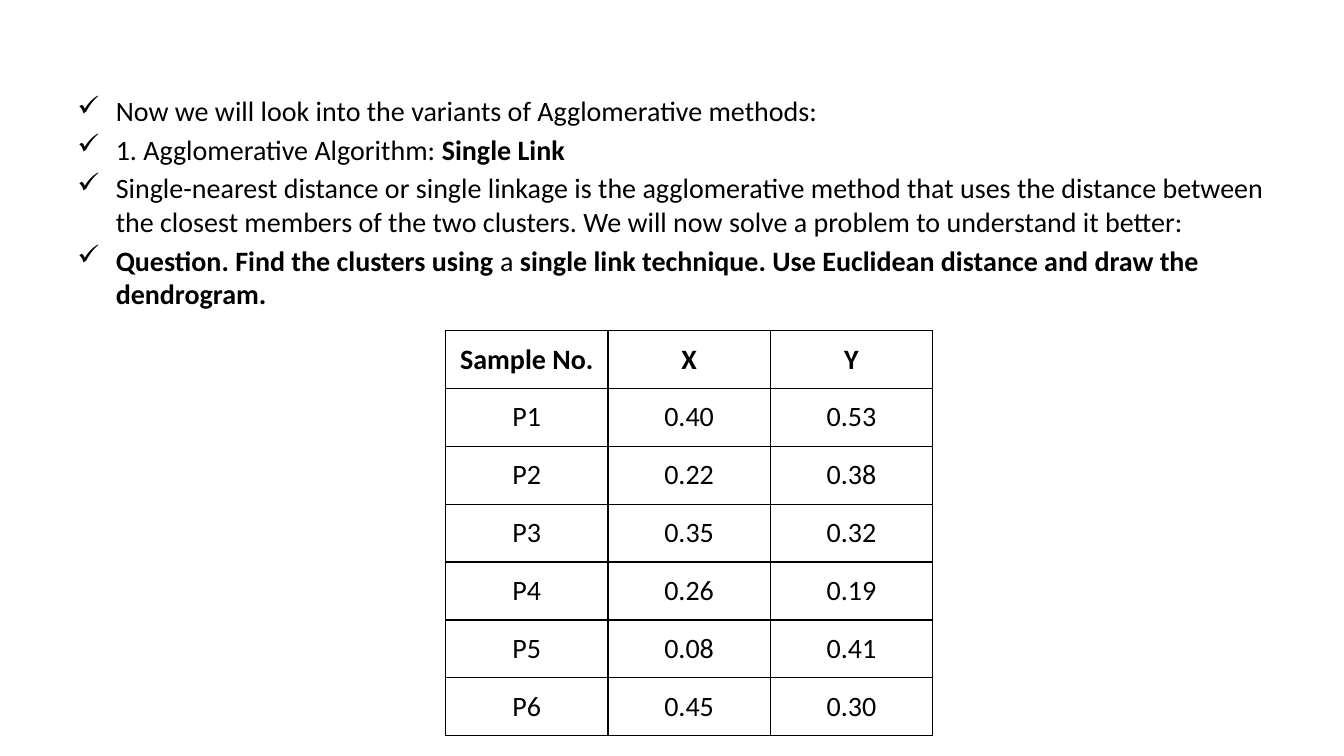
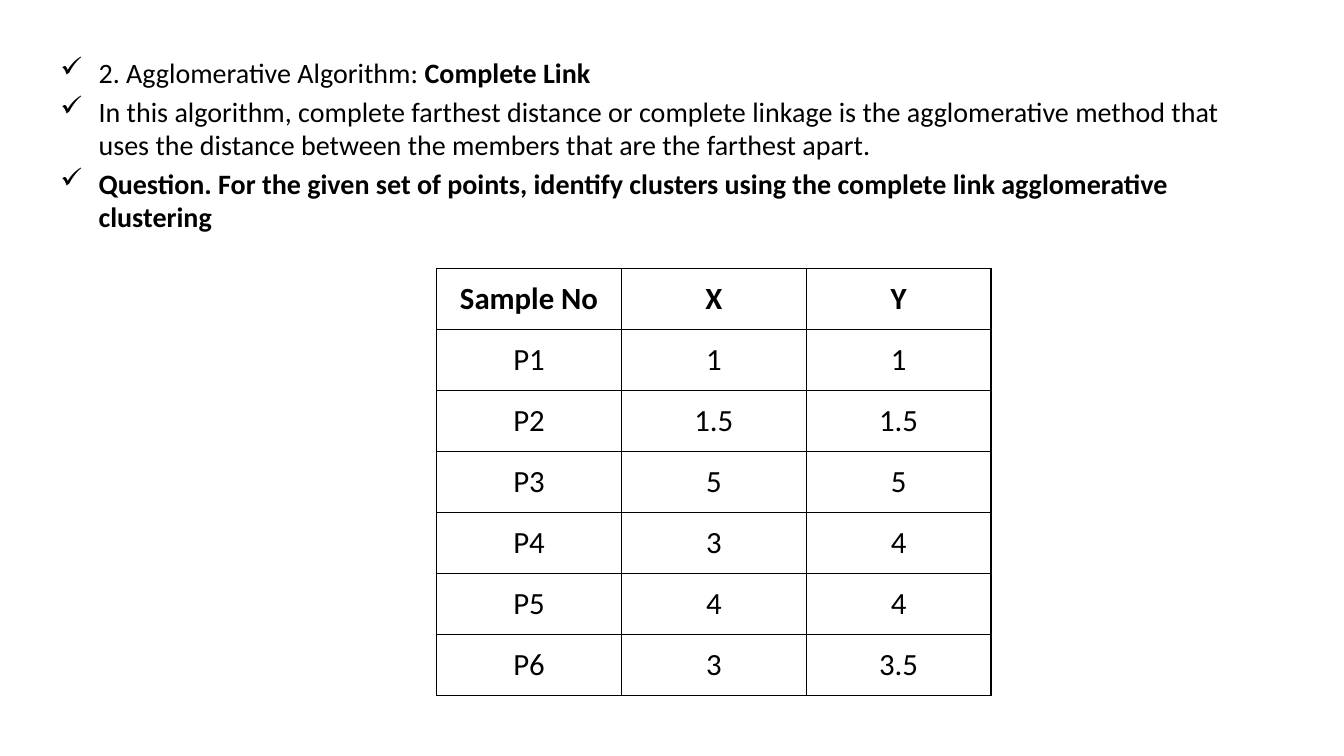
import dataclasses

import lxml.etree
import pptx
import pptx.dml.color
import pptx.enum.text
import pptx.oxml.ns
import pptx.util

Inches = pptx.util.Inches
Pt = pptx.util.Pt
qn = pptx.oxml.ns.qn


@dataclasses.dataclass(frozen=True)
class Theme:
    font: str = "Calibri"
    ink: str = "000000"
    paper: str = "FFFFFF"
    body_size: float = 20
    bullet: str = "✓"
    indent: float = 0.38
    gap: float = 3.6
    rule: float = 1
    cell_side: float = 0.08
    cell_end: float = 0.11


THEME = Theme()

SINGLE_LINK = [
    [("Now we will look into the variants of Agglomerative methods:", False)],
    [("1. Agglomerative Algorithm: ", False), ("Single Link", True)],
    [("Single-nearest distance or single linkage is the agglomerative method that uses "
      "the distance between the closest members of the two clusters. We will now solve "
      "a problem to understand it better:", False)],
    [("Question. Find the clusters using ", True), ("a ", False),
     ("single link technique. Use Euclidean distance and draw the dendrogram.", True)],
]
SINGLE_SAMPLES = [
    ("Sample No.", "X", "Y"),
    ("P1", "0.40", "0.53"),
    ("P2", "0.22", "0.38"),
    ("P3", "0.35", "0.32"),
    ("P4", "0.26", "0.19"),
    ("P5", "0.08", "0.41"),
    ("P6", "0.45", "0.30"),
]
COMPLETE_LINK = [
    [("2. Agglomerative Algorithm: ", False), ("Complete Link", True)],
    [("In this algorithm, complete farthest distance or complete linkage is the "
      "agglomerative method that uses the distance between the members that are the "
      "farthest apart.", False)],
    [("Question. For the given set of points, identify clusters using the complete link "
      "agglomerative clustering", True)],
]
COMPLETE_SAMPLES = [
    ("Sample No", "X", "Y"),
    ("P1", "1", "1"),
    ("P2", "1.5", "1.5"),
    ("P3", "5", "5"),
    ("P4", "3", "4"),
    ("P5", "4", "4"),
    ("P6", "3", "3.5"),
]


def color(value):
    return pptx.dml.color.RGBColor.from_string(value)


def style_font(font, size, bold):
    font.name = THEME.font
    font.size = Pt(size)
    font.bold = bold
    font.color.rgb = color(THEME.ink)


def add_bullet(p):
    pPr = p._p.get_or_add_pPr()
    pPr.set("marL", str(Inches(THEME.indent)))
    pPr.set("indent", str(-Inches(THEME.indent)))
    lxml.etree.SubElement(pPr, qn("a:buChar"), char=THEME.bullet)


def add_bullets(s, box, points):
    tf = s.shapes.add_textbox(*map(Inches, box)).text_frame
    tf.word_wrap = True
    for i, parts in enumerate(points):
        p = tf.add_paragraph() if i else tf.paragraphs[0]
        add_bullet(p)
        if i:
            p.space_before = Pt(THEME.gap)
        for text, bold in parts:
            r = p.add_run()
            r.text = text
            style_font(r.font, THEME.body_size, bold)


def add_borders(cell):
    tcPr = cell._tc.get_or_add_tcPr()
    for side in ("lnL", "lnR", "lnT", "lnB"):
        ln = lxml.etree.SubElement(tcPr, qn("a:" + side), w=str(Pt(THEME.rule)))
        fill = lxml.etree.SubElement(ln, qn("a:solidFill"))
        lxml.etree.SubElement(fill, qn("a:srgbClr"), val=THEME.ink)


def fill_cell(cell, text, size, bold):
    add_borders(cell)
    cell.fill.solid()
    cell.fill.fore_color.rgb = color(THEME.paper)
    cell.margin_left = cell.margin_right = Inches(THEME.cell_side)
    cell.margin_top = cell.margin_bottom = Inches(THEME.cell_end)
    cell.vertical_anchor = pptx.enum.text.MSO_ANCHOR.MIDDLE
    p = cell.text_frame.paragraphs[0]
    p.text = text
    p.alignment = pptx.enum.text.PP_ALIGN.CENTER
    style_font(p.runs[0].font, size, bold)


def add_samples(s, box, rows, size):
    left, top, width, height = map(Inches, box)
    table = s.shapes.add_table(len(rows), len(rows[0]), left, top, width, height).table
    table.horz_banding = False
    for column in table.columns:
        column.width = width // len(rows[0])
    for i, row in enumerate(rows):
        table.rows[i].height = height // len(rows)
        for j, text in enumerate(row):
            fill_cell(table.cell(i, j), text, size, i == 0)


def add_method_slide(prs, points_box, points, table_box, rows, size):
    s = prs.slides.add_slide(prs.slide_layouts[6])
    add_bullets(s, points_box, points)
    add_samples(s, table_box, rows, size)


def main():
    prs = pptx.Presentation()
    prs.slide_width = Inches(13.33)
    prs.slide_height = Inches(7.5)
    add_method_slide(prs, (0.67, 0.88, 12, 4.95), SINGLE_LINK,
                     (4.42, 3.28, 4.83, 4.02), SINGLE_SAMPLES, 20)
    add_method_slide(prs, (0.5, 0.5, 12, 4.95), COMPLETE_LINK,
                     (4.33, 2.66, 5.5, 4.24), COMPLETE_SAMPLES, 22)
    prs.save("out.pptx")


if __name__ == "__main__":
    main()
